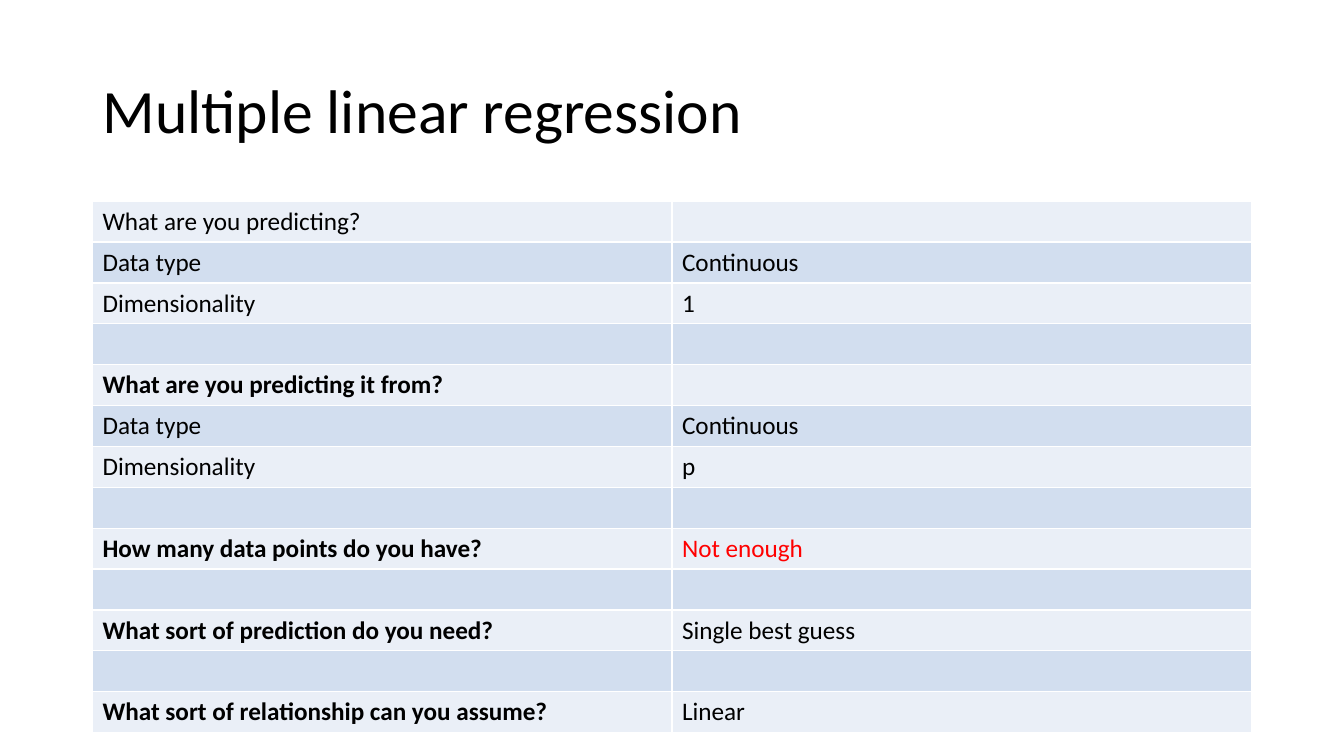
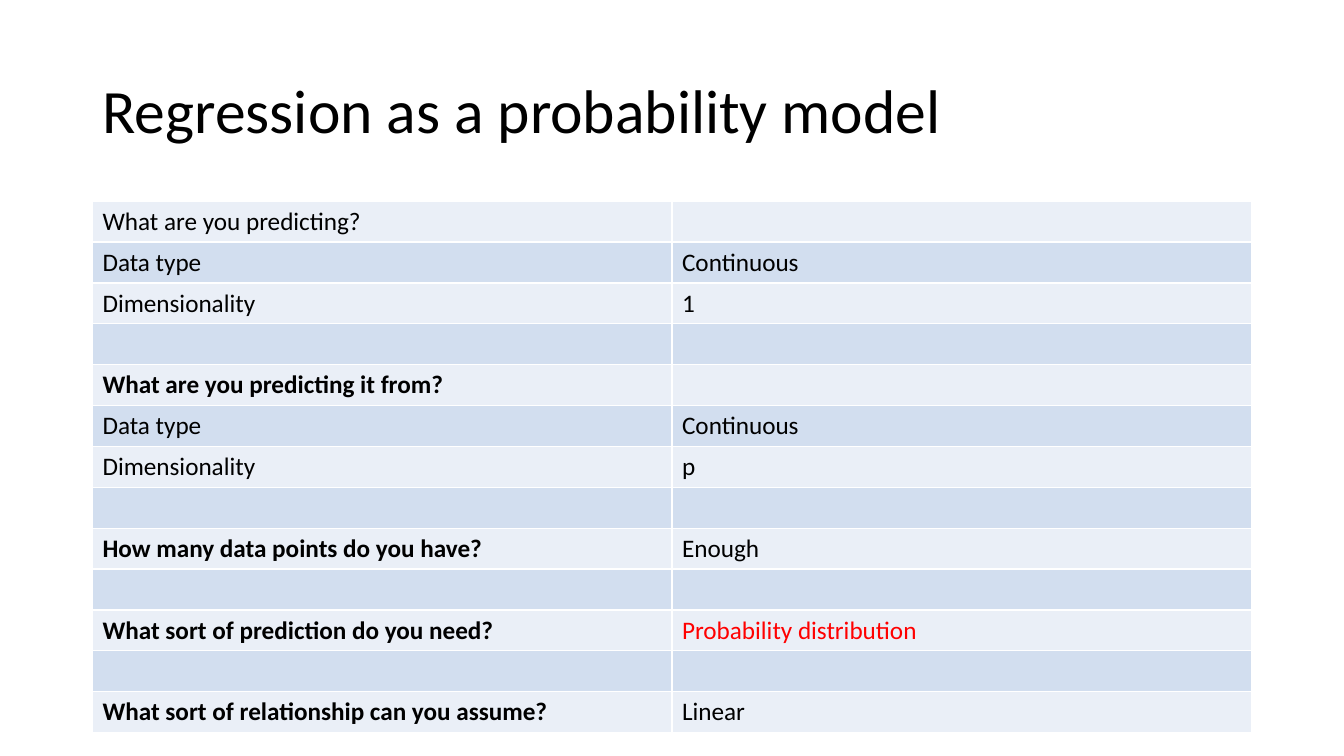
"""Build two slides that sum up regression models in tables."""
from dataclasses import dataclass

from lxml.etree import SubElement
from pptx import Presentation
from pptx.dml.color import RGBColor
from pptx.enum.text import MSO_ANCHOR, MSO_AUTO_SIZE, PP_ALIGN
from pptx.oxml.ns import qn
from pptx.util import Cm, Pt


@dataclass(frozen=True)
class Theme:
    """Hold the colours and type sizes of the deck."""
    font: str = "Calibri"
    ink: str = "000000"
    alert: str = "FF0000"
    rule: str = "FFFFFF"
    bands: tuple = ("EAEFF7", "D2DEEF")
    head: int = 44
    body: int = 18
    line: int = 1


THEME = Theme()
WIDE, HIGH = Cm(33.87), Cm(19.05)
LEFT, WIDTH = Cm(2.33), Cm(29.21)
TITLE = {"left": LEFT, "top": Cm(1.01), "width": WIDTH, "height": Cm(3.68)}
TOP, ROW = Cm(5.07), Cm(1.03)
TITLE_ONLY = 5

SLIDES = [
    ("Multiple linear regression", "Not enough", "Single best guess", "Not enough"),
    ("Regression as a probability model", "Enough", "Probability distribution",
     "Probability distribution"),
]


def apply(item, form):
    """Set each format value on the item."""
    for name, value in form.items():
        setattr(item, name, value)


def style(font, size, ink=THEME.ink, bold=False):
    """Give a font its face, size, weight and colour."""
    apply(font, {"name": THEME.font, "size": Pt(size), "bold": bold})
    font.color.rgb = RGBColor.from_string(ink)


def add_title(slide, text):
    """Place and format the title."""
    title = slide.shapes.title
    apply(title, TITLE)
    frame = title.text_frame
    frame.text = text
    apply(frame, {"word_wrap": True, "auto_size": MSO_AUTO_SIZE.NONE,
                  "vertical_anchor": MSO_ANCHOR.MIDDLE})
    para = frame.paragraphs[0]
    apply(para, {"alignment": PP_ALIGN.LEFT, "line_spacing": 0.9})
    style(para.runs[0].font, THEME.head)


def add_rules(cell):
    """Draw a thin line on all four sides of a cell."""
    props = cell._tc.get_or_add_tcPr()
    for side in ("a:lnL", "a:lnR", "a:lnT", "a:lnB"):
        line = SubElement(props, qn(side), w=str(Pt(THEME.line)))
        fill = SubElement(line, qn("a:solidFill"))
        SubElement(fill, qn("a:srgbClr"), val=THEME.rule)


def fill_cell(cell, text, band, ink, bold):
    """Format a cell and write its text."""
    add_rules(cell)
    cell.fill.solid()
    cell.fill.fore_color.rgb = RGBColor.from_string(band)
    para = cell.text_frame.paragraphs[0]
    if text:
        para.text = text
    style(para.font, THEME.body)
    for run in para.runs:
        style(run.font, THEME.body, ink, bold)


def add_grid(slide, rows, alert):
    """Add a banded table with bold questions and one red answer."""
    frame = slide.shapes.add_table(len(rows), 2, LEFT, TOP, WIDTH, ROW * len(rows))
    table = frame.table
    apply(table, {"first_row": False, "horz_banding": False})
    for i, texts in enumerate(rows):
        table.rows[i].height = ROW
        band = THEME.bands[i % 2]
        for j, text in enumerate(texts):
            ink = THEME.alert if text == alert else THEME.ink
            bold = i > 0 and text.endswith("?")
            fill_cell(table.cell(i, j), text, band, ink, bold)


def list_rows(points, guess):
    """List the questions and answers for a model."""
    gap = ("", "")
    kind = ("Data type", "Continuous")
    return [
        ("What are you predicting?", ""), kind, ("Dimensionality", "1"), gap,
        ("What are you predicting it from?", ""), kind, ("Dimensionality", "p"), gap,
        ("How many data points do you have?", points), gap,
        ("What sort of prediction do you need?", guess), gap,
        ("What sort of relationship can you assume?", "Linear"),
    ]


def main():
    """Build and save the deck."""
    deck = Presentation()
    apply(deck, {"slide_width": WIDE, "slide_height": HIGH})
    for title, points, guess, alert in SLIDES:
        slide = deck.slides.add_slide(deck.slide_layouts[TITLE_ONLY])
        add_title(slide, title)
        add_grid(slide, list_rows(points, guess), alert)
    deck.save("out.pptx")


if __name__ == "__main__":
    main()
